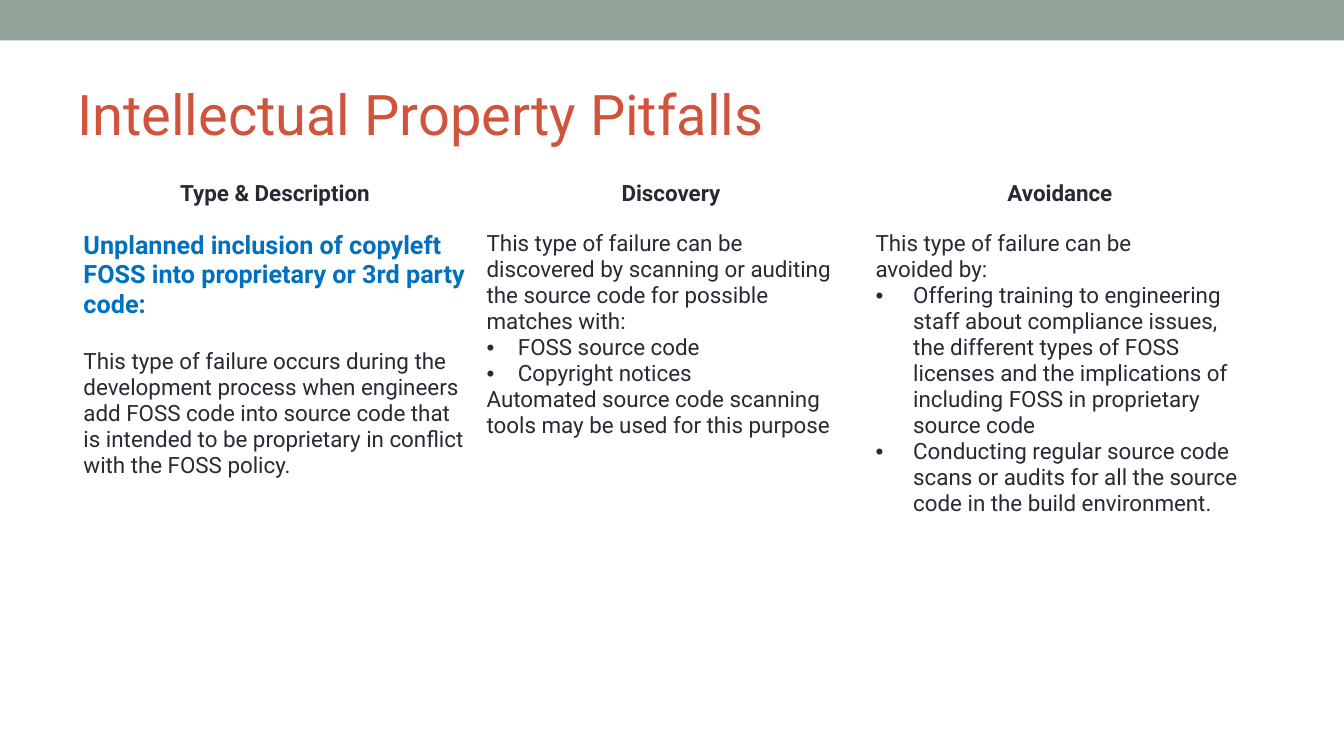
from lxml.etree import SubElement
from pptx import Presentation
from pptx.dml.color import RGBColor
from pptx.enum.shapes import MSO_SHAPE
from pptx.enum.text import MSO_ANCHOR, PP_ALIGN
from pptx.oxml.ns import qn
from pptx.util import Cm, Pt

COLORS = {"band": "93A299", "title": "D2533C", "text": "292934",
          "lead": "0070C0", "white": "FFFFFF"}
HEADERS = ["Type & Description", "Discovery", "Avoidance"]
TYPE = [
    ("lead", "Unplanned inclusion of copyleft FOSS into proprietary or 3rd party code:"),
    ("body", "This type of failure occurs during the development process when engineers "
             "add FOSS code into source code that is intended to be proprietary in "
             "conflict with the FOSS policy."),
]
DISCOVERY = [
    ("body", "This type of failure can be"),
    ("body", "discovered by scanning or auditing the source code for possible"),
    ("body", "matches with:"),
    ("bullet", "FOSS source code"),
    ("bullet", "Copyright notices"),
    ("body", "Automated source code scanning tools may be used for this purpose"),
]
AVOIDANCE = [
    ("body", "This type of failure can be"),
    ("body", "avoided by:"),
    ("bullet", "Offering training to engineering staff about compliance issues, the "
               "different types of FOSS licenses and the implications of including FOSS "
               "in proprietary source code"),
    ("bullet", "Conducting regular source code scans or audits for all the source code "
               "in the build environment."),
]


class Deck:
    """Holds the style and the current slide, and adds elements to it."""

    def __init__(self, prs, font="Roboto"):
        self.font = font
        self.slide = prs.slides.add_slide(prs.slide_layouts[6])

    def color(self, name):
        return RGBColor.from_string(COLORS[name])

    def run(self, p, text, size, color="text", bold=False):
        r = p.add_run()
        r.text = text
        r.font.name, r.font.size, r.font.bold = self.font, Pt(size), bold
        r.font.color.rgb = self.color(color)

    def bullet(self, p, indent):
        pPr = p._p.get_or_add_pPr()
        pPr.set("marL", str(Cm(indent)))
        pPr.set("indent", str(-Cm(indent)))
        SubElement(pPr, qn("a:buFont")).set("typeface", "Arial")
        SubElement(pPr, qn("a:buChar")).set("char", "•")

    def band(self, x, y, w, h):
        sp = self.slide.shapes.add_shape(MSO_SHAPE.RECTANGLE, Cm(x), Cm(y), Cm(w), Cm(h))
        sp.shadow.inherit = False
        sp.fill.solid()
        sp.fill.fore_color.rgb = self.color("band")
        sp.line.fill.background()

    def title(self, text, x, y, w, h):
        tf = self.slide.shapes.add_textbox(Cm(x), Cm(y), Cm(w), Cm(h)).text_frame
        tf.word_wrap = True
        tf.vertical_anchor = MSO_ANCHOR.MIDDLE
        self.run(tf.paragraphs[0], text, 40, "title")

    def cell(self, cell, items, indent):
        cell.fill.solid()
        cell.fill.fore_color.rgb = self.color("white")
        tf = cell.text_frame
        for i, (kind, text) in enumerate(items):
            p = tf.add_paragraph() if i else tf.paragraphs[0]
            if kind == "header":
                p.alignment = PP_ALIGN.CENTER
                self.run(p, text, 16, bold=True)
            elif kind == "lead":
                p.space_after = Pt(21)
                self.run(p, text, 18, "lead", True)
            else:
                if kind == "bullet":
                    self.bullet(p, indent)
                self.run(p, text, 16)

    def table(self, x, y, widths, heights, rows, indents):
        table = self.slide.shapes.add_table(len(heights), len(widths), Cm(x), Cm(y),
                                            Cm(sum(widths)), Cm(sum(heights))).table
        table.first_row = table.horz_banding = False
        for col, w in zip(table.columns, widths):
            col.width = Cm(w)
        for row, h, contents in zip(table.rows, heights, rows):
            row.height = Cm(h)
            for cell, items, indent in zip(row.cells, contents, indents):
                self.cell(cell, items, indent)


def main():
    prs = Presentation()
    prs.slide_width, prs.slide_height = Cm(33.87), Cm(19.05)
    deck = Deck(prs)
    deck.band(0, 0, 33.87, 1.02)
    deck.title("Intellectual Property Pitfalls", 1.7, 1.47, 30.48, 2.74)
    headers = [[("header", text)] for text in HEADERS]
    deck.table(1.85, 4.42, [10.16, 9.8, 9.8], [1.27, 11.66],
               [headers, [TYPE, DISCOVERY, AVOIDANCE]], [0, 0.79, 0.95])
    prs.save("out.pptx")


if __name__ == "__main__":
    main()
